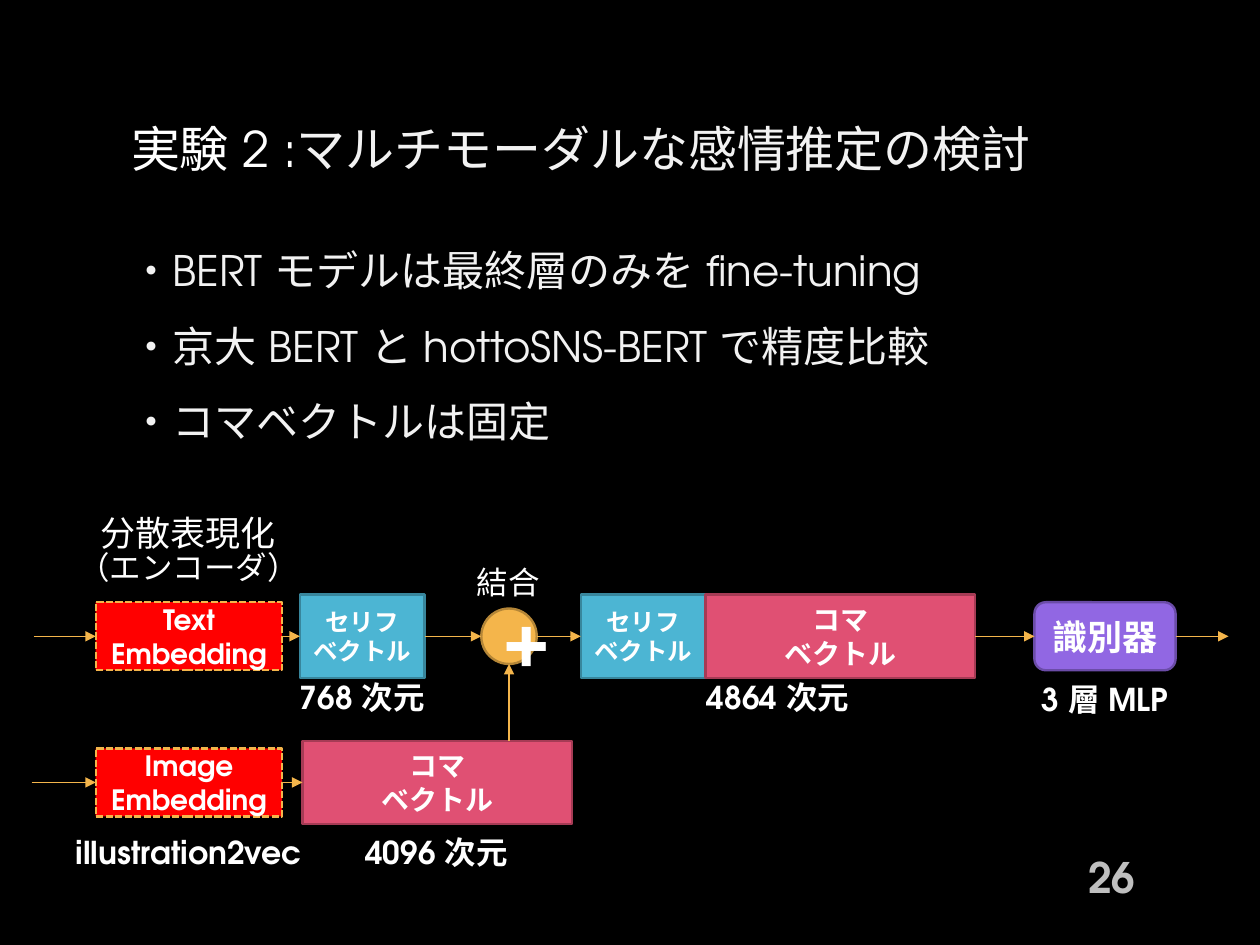
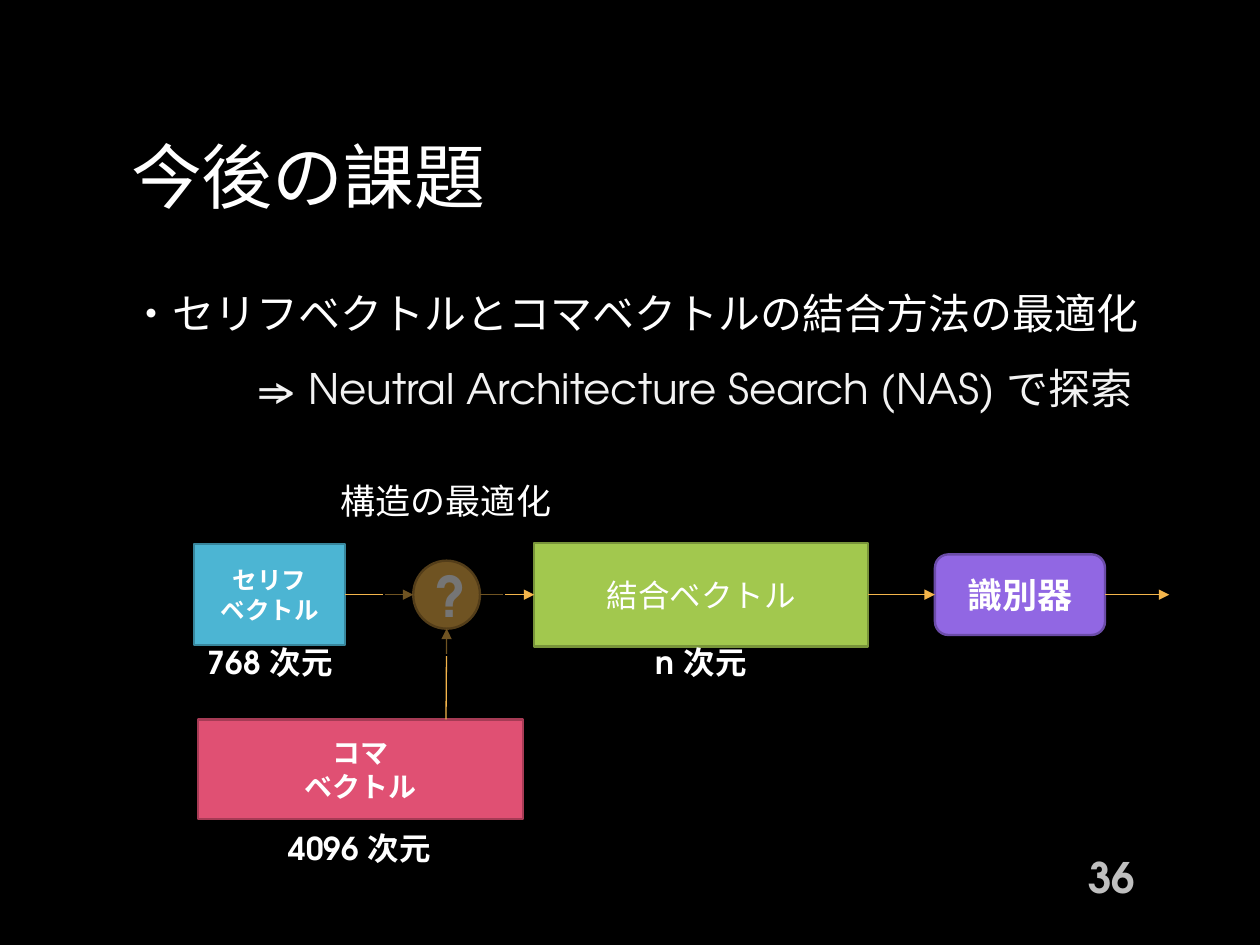
from dataclasses import dataclass
from itertools import pairwise
from typing import NamedTuple

from lxml.etree import SubElement
from pptx import Presentation
from pptx.dml.color import RGBColor
from pptx.enum.dml import MSO_LINE_DASH_STYLE as Dash
from pptx.enum.shapes import MSO_CONNECTOR as Connector, MSO_SHAPE as Preset
from pptx.enum.text import MSO_ANCHOR as Anchor, MSO_AUTO_SIZE as AutoSize, PP_ALIGN as Align
from pptx.oxml.ns import qn
from pptx.shapes.autoshape import Shape
from pptx.slide import Slide
from pptx.text.text import TextFrame, _Run as Run
from pptx.util import Emu, Pt

PX = 9144  # EMU per px, 100 px to the inch
FONT = "TeX Gyre Adventor"
TITLE_ONLY = 5

BLACK = RGBColor(0x00, 0x00, 0x00)
WHITE = RGBColor(0xFF, 0xFF, 0xFF)
OFF_WHITE = RGBColor(0xF2, 0xF2, 0xF2)
GREY = RGBColor(0xBF, 0xBF, 0xBF)
RED = RGBColor(0xFF, 0x00, 0x00)
AMBER = RGBColor(0xF4, 0xB5, 0x4B)
DARK_AMBER = RGBColor(0xB5, 0x86, 0x37)
CYAN = RGBColor(0x4C, 0xB5, 0xD3)
DARK_CYAN = RGBColor(0x38, 0x86, 0x9C)
ROSE = RGBColor(0xE0, 0x50, 0x73)
DARK_ROSE = RGBColor(0xA6, 0x3B, 0x55)
PURPLE = RGBColor(0x91, 0x67, 0xE3)
DARK_PURPLE = RGBColor(0x6B, 0x4C, 0xA8)
GREEN = RGBColor(0xA2, 0xC8, 0x4E)
DARK_GREEN = RGBColor(0x78, 0x94, 0x3A)

TOP, LEFT, BOTTOM, RIGHT = range(4)


class Box(NamedTuple):
    left: int
    top: int
    width: int
    height: int

    def emu(self) -> list[Emu]:
        return [Emu(length * PX) for length in self]


class Point(NamedTuple):
    x: int
    y: int


class Side(NamedTuple):
    node: Shape
    site: int


class Phrase(NamedTuple):
    text: str
    color: RGBColor
    indent: int = 0


@dataclass(frozen=True)
class NodeStyle:
    fill: RGBColor
    outline: RGBColor
    size: int = 16
    bold: bool = True
    preset: Preset = Preset.RECTANGLE
    dash: Dash | None = None


@dataclass(frozen=True)
class Label:
    text: str
    box: Box
    size: int = 18
    bold: bool = True


EMBEDDING = NodeStyle(RED, AMBER, dash=Dash.SQUARE_DOT)
SPEECH = NodeStyle(CYAN, DARK_CYAN, size=14)
PANEL = NodeStyle(ROSE, DARK_ROSE)
JOINED = NodeStyle(GREEN, DARK_GREEN, size=18, bold=False)
CLASSIFIER = NodeStyle(PURPLE, DARK_PURPLE, size=20, preset=Preset.ROUNDED_RECTANGLE)
MERGE = NodeStyle(AMBER, DARK_AMBER, size=40, preset=Preset.OVAL)
UNKNOWN_MERGE = NodeStyle(AMBER, DARK_AMBER, size=32, preset=Preset.OVAL)
VEIL = NodeStyle(BLACK, BLACK)

SPEECH_TEXT = "セリフ\nベクトル"
PANEL_TEXT = "コマ\nベクトル"
CLASSIFIER_TEXT = "識別器"


def format_run(run: Run, size: float, color: RGBColor, bold: bool = False) -> None:
    """Use the deck's font for both Latin and East Asian letters."""
    font = run.font
    font.size, font.bold, font.name = Pt(size), bold, FONT
    font.color.rgb = color
    SubElement(run._r.get_or_add_rPr(), qn("a:ea"), typeface=FONT)


def format_text(frame: TextFrame, size: float, color: RGBColor, bold: bool, align: Align) -> None:
    for paragraph in frame.paragraphs:
        paragraph.alignment = align
        for run in paragraph.runs:
            format_run(run, size, color, bold)


def add_text_frame(slide: Slide, box: Box) -> TextFrame:
    frame = slide.shapes.add_textbox(*box.emu()).text_frame
    frame.word_wrap = True
    return frame


def add_titled_slide(prs: Presentation, box: Box, size: float, phrases: list[Phrase], number: int) -> Slide:
    slide = prs.slides.add_slide(prs.slide_layouts[TITLE_ONLY])
    title = slide.shapes.title
    title.left, title.top, title.width, title.height = box.emu()
    frame = title.text_frame
    frame.word_wrap = True
    frame.auto_size = AutoSize.NONE
    frame.vertical_anchor = Anchor.MIDDLE
    heading = frame.paragraphs[0]
    heading.alignment = Align.LEFT
    for phrase in phrases:
        run = heading.add_run()
        run.text = phrase.text
        format_run(run, size, phrase.color)

    page = add_text_frame(slide, Box(781, 676, 130, 40))
    page.vertical_anchor = Anchor.MIDDLE
    page.text = str(number)
    format_text(page, 24, GREY, True, Align.RIGHT)
    return slide


def add_points(slide: Slide, box: Box, points: list[Phrase]) -> None:
    frame = add_text_frame(slide, box)
    frame.text = "\n".join(point.text for point in points)
    for index, (paragraph, point) in enumerate(zip(frame.paragraphs, points)):
        if index:
            paragraph.space_before = Pt(14.5)
        if point.indent:
            paragraph._p.get_or_add_pPr().set("marL", str(point.indent * PX))
        format_run(paragraph.runs[0], 24, point.color)


def add_label(slide: Slide, label: Label) -> None:
    frame = add_text_frame(slide, label.box)
    frame.text = label.text
    format_text(frame, label.size, WHITE, label.bold, Align.CENTER)


def add_node(slide: Slide, style: NodeStyle, box: Box, text: str = "") -> Shape:
    node = slide.shapes.add_shape(style.preset, *box.emu())
    node.shadow.inherit = False
    node.fill.solid()
    node.fill.fore_color.rgb = style.fill
    node.line.color.rgb = style.outline
    node.line.width = Pt(1.35)
    if style.dash:
        node.line.dash_style = style.dash
    frame = node.text_frame
    frame.word_wrap = True
    frame.vertical_anchor = Anchor.MIDDLE
    if text:
        frame.text = text
        format_text(frame, style.size, WHITE, style.bold, Align.CENTER)
    return node


def locate(end: Side | Point) -> tuple[int, int]:
    """Give the place of an arrow's end in EMU."""
    if isinstance(end, Point):
        return Emu(end.x * PX), Emu(end.y * PX)
    node, site = end
    across = {LEFT: 0, RIGHT: node.width}.get(site, node.width // 2)
    down = {TOP: 0, BOTTOM: node.height}.get(site, node.height // 2)
    return Emu(node.left + across), Emu(node.top + down)


def can_glue(end: Side | Point) -> bool:
    """Ovals number their connection sites differently, so they are left free."""
    return isinstance(end, Side) and end.node.auto_shape_type != Preset.OVAL


def add_arrow(slide: Slide, start: Side | Point, end: Side | Point) -> None:
    arrow = slide.shapes.add_connector(Connector.STRAIGHT, *locate(start), *locate(end))
    if can_glue(start):
        arrow.begin_connect(*start)
    if can_glue(end):
        arrow.end_connect(*end)
    arrow.line.color.rgb = AMBER
    arrow.line.width = Pt(0.75)
    SubElement(arrow.line._get_or_add_ln(), qn("a:tailEnd"), type="triangle")
    SubElement(arrow._element.spPr, qn("a:effectLst"))


def add_flow(slide: Slide, *stops: Shape | Point) -> None:
    """Lead arrows rightwards from stop to stop."""
    for source, target in pairwise(stops):
        add_arrow(
            slide,
            source if isinstance(source, Point) else Side(source, RIGHT),
            target if isinstance(target, Point) else Side(target, LEFT),
        )


def build_experiment(prs: Presentation) -> None:
    title = [Phrase("実験 2 :", WHITE), Phrase("マルチモーダルな感情推定の検討", OFF_WHITE)]
    slide = add_titled_slide(prs, Box(94, 72, 832, 90), 28, title, 26)
    add_points(slide, Box(94, 189, 712, 172), [
        Phrase("・BERT モデルは最終層のみを fine-tuning", OFF_WHITE),
        Phrase("・京大 BERT と hottoSNS-BERT で精度比較", OFF_WHITE),
        Phrase("・コマベクトルは固定", OFF_WHITE),
    ])

    text_encoder = add_node(slide, EMBEDDING, Box(76, 478, 148, 54), "Text\nEmbedding")
    image_encoder = add_node(slide, EMBEDDING, Box(76, 594, 148, 54), "Image\nEmbedding")
    speech = add_node(slide, SPEECH, Box(238, 472, 99, 66), SPEECH_TEXT)
    panel = add_node(slide, PANEL, Box(240, 588, 214, 66), PANEL_TEXT)
    merge = add_node(slide, MERGE, Box(382, 483, 44, 44), "+")
    joined_speech = add_node(slide, SPEECH, Box(461, 472, 99, 66), SPEECH_TEXT)
    joined_panel = add_node(slide, PANEL, Box(560, 472, 214, 66), PANEL_TEXT)
    classifier = add_node(slide, CLASSIFIER, Box(821, 478, 112, 54), CLASSIFIER_TEXT)

    add_flow(slide, Point(27, 505), text_encoder, speech, merge, joined_speech)
    add_flow(slide, joined_panel, classifier, Point(975, 505))
    add_flow(slide, Point(25, 621), image_encoder, panel)
    add_arrow(slide, Point(404, 588), Side(merge, BOTTOM))

    for label in (
        Label("分散表現化", Box(57, 401, 185, 44), size=20, bold=False),
        Label("（エンコーダ）", Box(44, 430, 211, 40), bold=False),
        Label("結合", Box(298, 442, 211, 40), bold=False),
        Label("768 次元", Box(216, 533, 143, 40)),
        Label("4864 次元", Box(546, 533, 143, 40)),
        Label("3 層 MLP", Box(767, 535, 220, 40)),
        Label("illustration2vec", Box(40, 656, 220, 40)),
        Label("4096 次元", Box(275, 656, 143, 40)),
    ):
        add_label(slide, label)


def build_future_work(prs: Presentation) -> None:
    title = [Phrase("今後の課題", WHITE)]
    slide = add_titled_slide(prs, Box(94, 94, 812, 90), 40.5, title, 36)
    add_points(slide, Box(94, 223, 868, 151), [
        Phrase("・セリフベクトルとコマベクトルの結合方法の最適化", WHITE),
        Phrase("⇒ Neutral Architecture Search (NAS) で探索", OFF_WHITE, indent=100),
    ])

    speech = add_node(slide, SPEECH, Box(154, 432, 120, 80), SPEECH_TEXT)
    add_node(slide, PANEL, Box(157, 571, 258, 79), PANEL_TEXT)
    merge = add_node(slide, UNKNOWN_MERGE, Box(328, 445, 53, 54), "?")
    joined = add_node(slide, JOINED, Box(424, 431, 265, 82), "結合ベクトル")
    classifier = add_node(slide, CLASSIFIER, Box(742, 440, 135, 64), CLASSIFIER_TEXT)

    add_flow(slide, speech, merge, joined, classifier, Point(928, 472))
    add_arrow(slide, Point(354, 571), Side(merge, BOTTOM))

    veil = add_node(slide, VEIL, Box(305, 425, 95, 95))
    veil_color = veil._element.spPr.find(f"{qn('a:solidFill')}/{qn('a:srgbClr')}")
    SubElement(veil_color, qn("a:alpha"), val="54000")

    for label in (
        Label("構造の最適化", Box(227, 376, 254, 44), size=20, bold=False),
        Label("768 次元", Box(128, 505, 173, 49)),
        Label("n 次元", Box(470, 505, 173, 49)),
        Label("4096 次元", Box(199, 653, 173, 49)),
    ):
        add_label(slide, label)


def main() -> None:
    prs = Presentation()
    prs.slide_width, prs.slide_height = Emu(1000 * PX), Emu(750 * PX)
    backdrop = prs.slide_master.background.fill
    backdrop.solid()
    backdrop.fore_color.rgb = BLACK
    build_experiment(prs)
    build_future_work(prs)
    prs.save("out.pptx")


if __name__ == "__main__":
    main()
